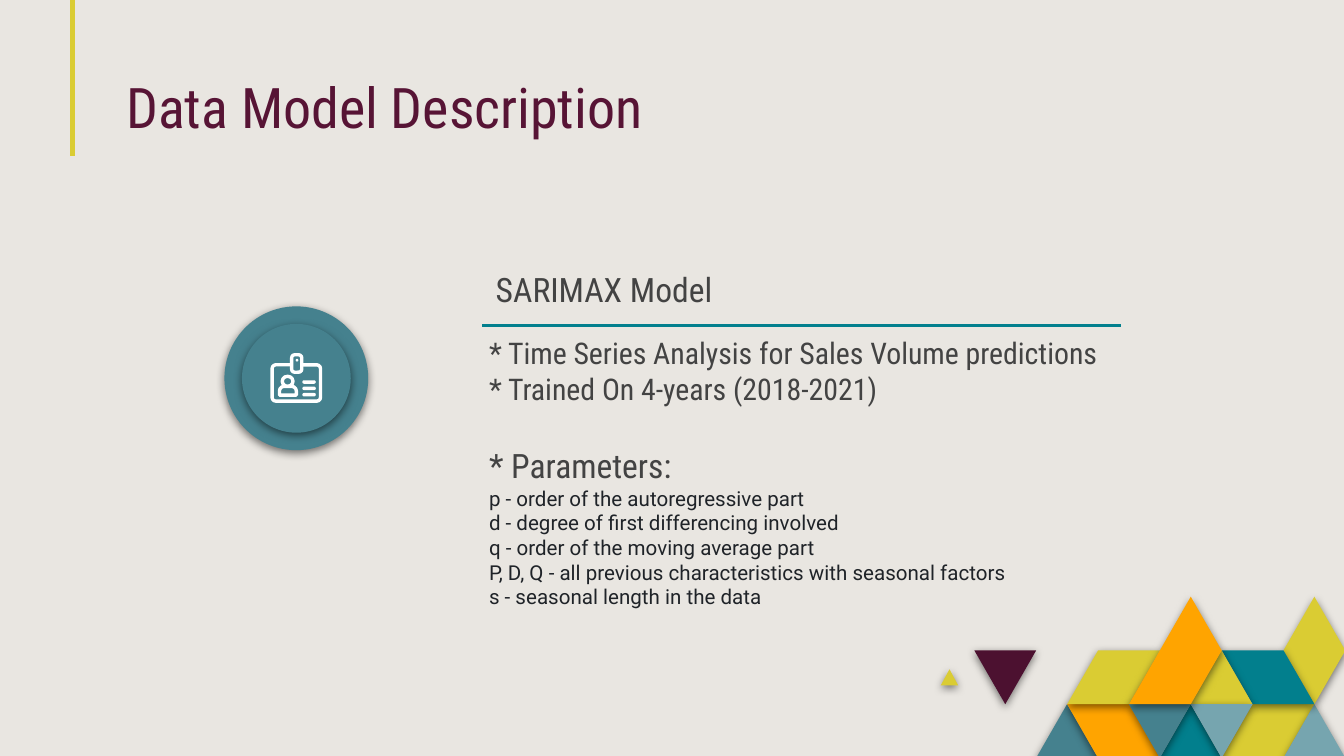
"""Build the Data Model Description slide."""
import lxml.etree
import pptx
import pptx.dml.color
import pptx.enum.shapes
import pptx.enum.text
import pptx.oxml.ns
import pptx.util

deck = pptx.Presentation()
deck.slide_width = pptx.util.Inches(10)
deck.slide_height = deck.slide_width * 9 // 16
page = deck.slides.add_slide(deck.slide_layouts[6])
unit = deck.slide_width / 100
kinds = pptx.enum.shapes.MSO_SHAPE
qn = pptx.oxml.ns.qn


def paint(fill, color):
    fill.solid()
    fill.fore_color.rgb = pptx.dml.color.RGBColor.from_string(color)


def write(text, para, size, color, font="Roboto Condensed", before=0):
    para.space_before = pptx.util.Pt(before)
    span = para.add_run()
    span.text = text
    span.font.size = pptx.util.Pt(size)
    span.font.name = font
    paint(span.font.fill, color)


paint(page.background.fill, "E9E6E1")

column, row = 2.3 * unit, 4 * unit
mosaic_left, mosaic_top = 72.5 * unit, 44.4 * unit
tiles = [
    ("45818E", [(2, 3), (3, 2), (4, 3)]),
    ("FFA400", [(3, 2), (5, 2), (6, 3), (4, 3)]),
    ("DACC33", [(8, 3), (9, 2), (11, 2), (10, 3)]),
    ("76A5AF", [(10, 3), (11, 2), (12, 3)]),
    ("027F8D", [(6, 3), (7, 2), (8, 3)]),
    ("DACC33", [(3, 2), (4, 1), (6, 1), (5, 2)]),
    ("4C1130", [(0, 1), (2, 1), (1, 2)]),
    ("DACC33", [(10, 1), (11, 0), (12, 1), (11, 2)]),
    ("027F8D", [(8, 1), (10, 1), (11, 2), (9, 2)]),
    ("DACC33", [(7, 2), (8, 1), (9, 2)]),
    ("76A5AF", [(7, 2), (9, 2), (8, 3)]),
    ("45818E", [(5, 2), (7, 2), (6, 3)]),
    ("FFA400", [(5, 2), (7, 0), (8, 1), (7, 2)]),
]
raised = []
for color, corners in tiles:
    outline = page.shapes.build_freeform(*corners[0], scale=(column, row))
    outline.add_line_segments(corners[1:], close=True)
    tile = outline.convert_to_shape(int(mosaic_left), int(mosaic_top))
    paint(tile.fill, color)
    raised.append(tile)

solids = [
    (kinds.ISOSCELES_TRIANGLE, 70, 49.8, 1.3, 1.2, "DACC33"),
    (kinds.OVAL, 16.7, 22.8, 10.7, 10.7, "45818E"),
    (kinds.OVAL, 18, 24.1, 8.1, 8.1, "45818E"),
]
for kind, left, top, width, height, color in solids:
    solid = page.shapes.add_shape(kind, *(int(n * unit) for n in (left, top, width, height)))
    paint(solid.fill, color)
    raised.append(solid)

for shape in raised:
    shape.line.fill.background()
    shape.shadow.inherit = False
    effects = shape._element.spPr.find(qn("a:effectLst"))
    shadow = lxml.etree.SubElement(
        effects, qn("a:outerShdw"), blurRad=str(pptx.util.Pt(4.5)),
        dist=str(pptx.util.Pt(1.5)), dir="5400000", algn="bl", rotWithShape="0")
    black = lxml.etree.SubElement(shadow, qn("a:srgbClr"), val="000000")
    lxml.etree.SubElement(black, qn("a:alpha"), val="50000")

badge_outlines = [
    (kinds.ROUNDED_RECTANGLE, 20.25, 27.15, 3.6, 2.7, 0.1),
    (kinds.ROUNDED_RECTANGLE, 21.7, 26.4, 0.75, 1.3, 0.3),
    (kinds.OVAL, 21, 28, 0.8, 0.75, None),
    (kinds.ROUND_2_SAME_RECTANGLE, 20.8, 28.75, 1.25, 0.65, 0.5),
]
for kind, left, top, width, height, rounding in badge_outlines:
    part = page.shapes.add_shape(kind, *(int(n * unit) for n in (left, top, width, height)))
    if rounding is not None:
        part.adjustments[0] = rounding
    part.shadow.inherit = False
    paint(part.fill, "45818E")
    paint(part.line.fill, "FFFFFF")
    part.line.width = pptx.util.Pt(1.8)

badge_marks = [(22.5, 28.3 + 0.47 * step, 1, 0.26) for step in range(3)]
badge_marks.append((22, 26.7, 0.2, 0.2))
for mark_place in badge_marks:
    mark = page.shapes.add_shape(kinds.ROUNDED_RECTANGLE, *(int(n * unit) for n in mark_place))
    mark.adjustments[0] = 0.5
    mark.shadow.inherit = False
    paint(mark.fill, "FFFFFF")
    mark.line.fill.background()

rules = [
    (5.4, 0, 5.4, 11.6, "DACC33", 2.25),
    (35.9, 24.2, 83.4, 24.2, "027F8D", 1.5),
]
for *ends, color, weight in rules:
    rule = page.shapes.add_connector(
        pptx.enum.shapes.MSO_CONNECTOR.STRAIGHT, *(int(n * unit) for n in ends))
    paint(rule.line.fill, color)
    rule.line.width = pptx.util.Pt(weight)
    lxml.etree.SubElement(rule._element.spPr, qn("a:effectLst"))

heading = {"size": 18, "color": "434343"}
point = {"size": 16, "color": "434343"}
detail = {"size": 11, "color": "1F2328", "font": "Roboto"}
boxes = [
    ((8.4, 5.1, 50.8, 6.3), [("Data Model Description", {"size": 30, "color": "571435"})]),
    ((35.9, 17.7, 21.5, 6.3), [("SARIMAX Model", heading)]),
    ((35.4, 21.5, 51.8, 24.8), [
        ("* Time Series Analysis for Sales Volume predictions", point),
        ("* Trained On 4-years (2018-2021)", point),
        ("* Parameters:", {**heading, "before": 21}),
        ("p - order of the autoregressive part", detail),
        ("d - degree of first differencing involved", detail),
        ("q - order of the moving average part", detail),
        ("P, D, Q - all previous characteristics with seasonal factors", detail),
        ("s - seasonal length in the data", detail),
    ]),
]
for place, lines in boxes:
    box = page.shapes.add_textbox(*(int(n * unit) for n in place))
    frame = box.text_frame
    frame.word_wrap = True
    frame.vertical_anchor = pptx.enum.text.MSO_ANCHOR.BOTTOM
    frame.margin_left = frame.margin_right = int(unit)
    frame.margin_top = frame.margin_bottom = int(unit)
    for index, (text, style) in enumerate(lines):
        para = frame.add_paragraph() if index else frame.paragraphs[0]
        write(text, para=para, **style)

deck.save("out.pptx")
